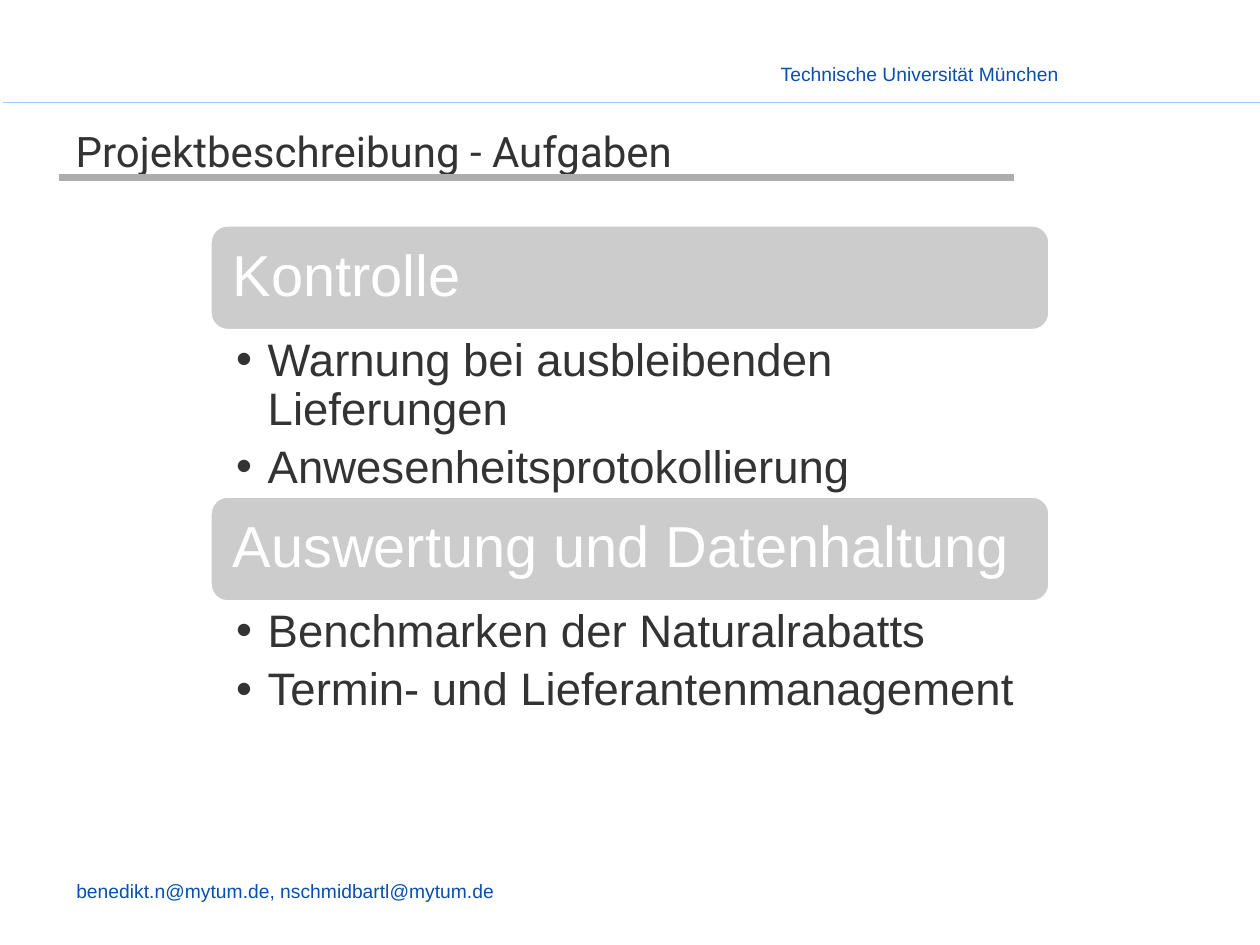
from lxml.etree import SubElement
from pptx import Presentation
from pptx.dml.color import RGBColor
from pptx.enum.shapes import MSO_CONNECTOR, MSO_SHAPE
from pptx.enum.text import MSO_ANCHOR, MSO_AUTO_SIZE, PP_ALIGN
from pptx.oxml.ns import qn
from pptx.util import Pt


def rgb(value):
    return RGBColor.from_string(value)


class SlideBuilder:
    """Holds the style and the current slide and adds each kind of element."""

    FONT, TITLE_FONT = "Arial", "Roboto"
    BLUE, DARK, GRAY, WHITE = "074FB0", "333333", "CCCCCC", "FFFFFF"

    def __init__(self, s):
        self.s = s

    def place(self, sp, x, y, w, h):
        sp.left, sp.top, sp.width, sp.height = Pt(x), Pt(y), Pt(w), Pt(h)

    def frame(self, sp, insets, anchor):
        tf = sp.text_frame
        tf.word_wrap = True
        tf.auto_size = MSO_AUTO_SIZE.NONE
        tf.vertical_anchor = anchor
        tf.margin_left, tf.margin_top, tf.margin_right, tf.margin_bottom = map(Pt, insets)
        return tf

    def format(self, p, size, color, font=FONT):
        p.alignment = PP_ALIGN.LEFT
        for r in p.runs:
            r.font.size = Pt(size)
            r.font.name = font
            r.font.color.rgb = rgb(color)

    def line(self, x1, x2, y, color, width):
        cn = self.s.shapes.add_connector(MSO_CONNECTOR.STRAIGHT, Pt(x1), Pt(y), Pt(x2), Pt(y))
        cn.line.color.rgb = rgb(color)
        cn.line.width = Pt(width)
        SubElement(cn._element.spPr, qn("a:effectLst"))

    def label(self, text, x, y, w, h):
        sp = self.s.shapes.add_textbox(Pt(x), Pt(y), Pt(w), Pt(h))
        tf = self.frame(sp, (7.2, 3.6, 7.2, 3.6), MSO_ANCHOR.BOTTOM)
        tf.text = text
        self.format(tf.paragraphs[0], 11, self.BLUE)

    def title(self, text, x, y, w, h):
        sp = self.s.shapes.title
        self.place(sp, x, y, w, h)
        tf = self.frame(sp, (7.2, 3.6, 7.2, 3.6), MSO_ANCHOR.TOP)
        tf.text = text
        self.format(tf.paragraphs[0], 24, self.DARK, self.TITLE_FONT)

    def banner(self, text, x, y, w, h):
        sp = self.s.shapes.add_shape(MSO_SHAPE.ROUNDED_RECTANGLE, Pt(x), Pt(y), Pt(w), Pt(h))
        sp.shadow.inherit = False
        sp.fill.solid()
        sp.fill.fore_color.rgb = rgb(self.GRAY)
        sp.line.color.rgb = rgb(self.WHITE)
        sp.line.width = Pt(2)
        tf = self.frame(sp, (10, 10, 10, 10), MSO_ANCHOR.MIDDLE)
        tf.text = text
        p = tf.paragraphs[0]
        p.line_spacing = 0.9
        self.format(p, 33, self.WHITE)

    def bullets(self, sp, items, x, y, w, h):
        self.place(sp, x, y, w, h)
        tf = self.frame(sp, (15, 3.6, 19, 3.6), MSO_ANCHOR.TOP)
        tf.text = "\n".join(items)
        for p in tf.paragraphs:
            p.level = 1
            p.line_spacing = 0.9
            p.space_before, p.space_after = Pt(0), Pt(5.2)
            self.format(p, 26, self.DARK)
            pPr = p._p.get_or_add_pPr()
            pPr.set("marL", str(Pt(18)))
            pPr.set("indent", str(-Pt(18)))
            SubElement(pPr, qn("a:buChar")).set("char", "•")


SECTIONS = [
    ("Kontrolle", 128.5, 94.5,
     ["Warnung bei ausbleibenden Lieferungen", "Anwesenheitsprotokollierung"]),
    ("Auswertung und Datenhaltung", 283.5, 67,
     ["Benchmarken der Naturalrabatts", "Termin- und Lieferantenmanagement"]),
]


def main():
    prs = Presentation()
    prs.slide_width, prs.slide_height = Pt(720), Pt(540)
    s = prs.slides.add_slide(prs.slide_layouts[3])
    builder = SlideBuilder(s)
    builder.line(1.5, 721.5, 58.75, "99CCFF", 0.75)
    builder.label("Technische Universität München", 439, 32.5, 184.5, 20)
    builder.label("benedikt.n@mytum.de, nschmidbartl@mytum.de", 36.5, 499, 660, 20)
    builder.title("Projektbeschreibung - Aufgaben", 36, 68, 648, 44)
    builder.line(33.75, 579.5, 101.5, "ADADAD", 4)
    left, width, banner_height = 120, 480, 60.5
    for idx, (heading, top, list_height, items) in enumerate(SECTIONS, 1):
        builder.banner(heading, left, top, width, banner_height)
        builder.bullets(s.placeholders[idx], items, left, top + banner_height, width, list_height)
    prs.save("out.pptx")


if __name__ == "__main__":
    main()
